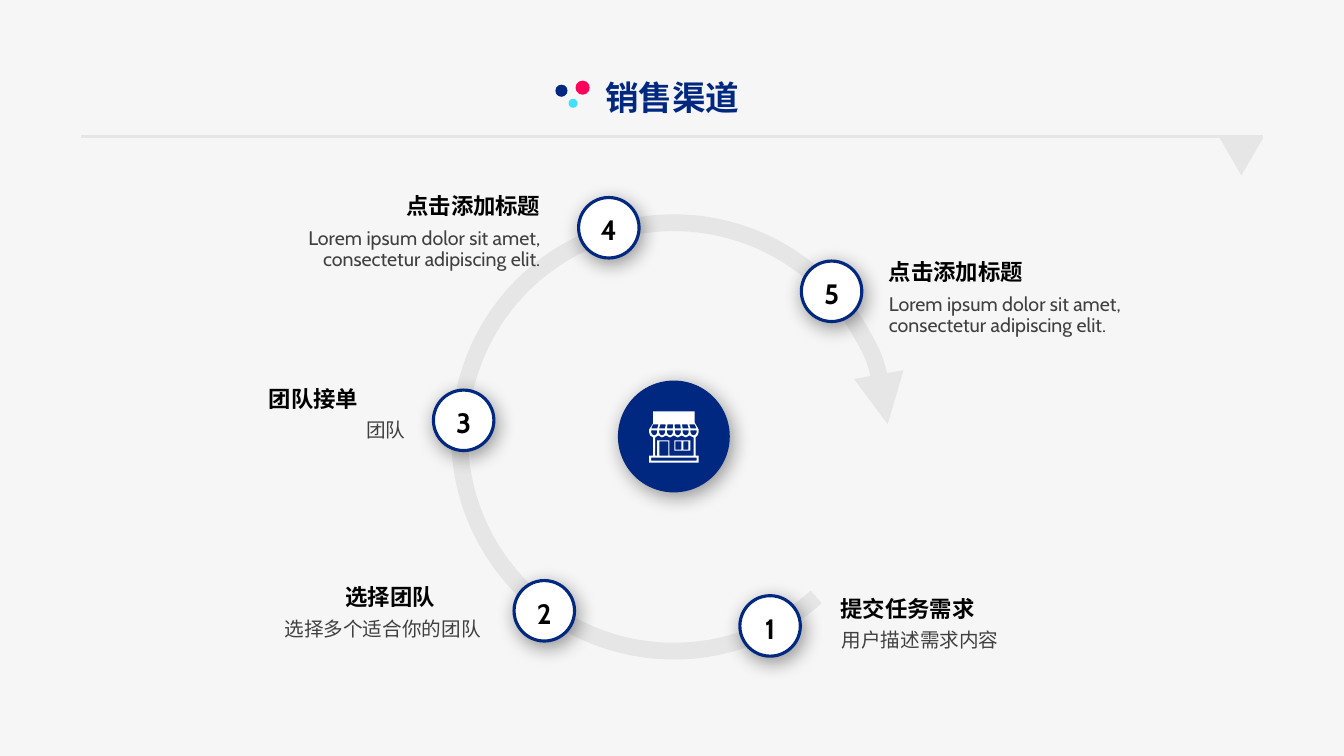
import lxml.etree
import pptx
import pptx.dml.color
import pptx.enum.shapes
import pptx.enum.text
import pptx.oxml.ns
import pptx.util

RGBColor = pptx.dml.color.RGBColor
SHAPE = pptx.enum.shapes.MSO_SHAPE
LEFT = pptx.enum.text.PP_ALIGN.LEFT
CENTER = pptx.enum.text.PP_ALIGN.CENTER
RIGHT = pptx.enum.text.PP_ALIGN.RIGHT

PAPER = RGBColor(0xF6, 0xF6, 0xF6)
GREY = RGBColor(0xE7, 0xE6, 0xE6)
NAVY = RGBColor(0x00, 0x28, 0x80)
CYAN = RGBColor(0x42, 0xDF, 0xFF)
PINK = RGBColor(0xFF, 0x00, 0x5C)
WHITE = RGBColor(0xFF, 0xFF, 0xFF)
BLACK = RGBColor(0x00, 0x00, 0x00)
BODY = RGBColor(0x40, 0x40, 0x40)

CELL = pptx.util.Inches(0.1)
COLUMNS, ROWS = 133.33, 75
LOREM = "Lorem ipsum dolor sit amet, consectetur adipiscing elit."

STEPS = [
    ("3", (46, 41.7), "团队接单", (25.7, 37.7, 10.9, 3.7), LEFT,
     "团队", (13, 41.2, 28.2, 3.1), RIGHT),
    ("1", (76.4, 62.1), "提交任务需求", (82.4, 58.6, 15.3, 3.7), LEFT,
     "用户描述需求内容", (82.5, 62.1, 28.3, 3.1), LEFT),
    ("2", (54, 60.6), "选择团队", (33.3, 57.4, 10.9, 3.7), LEFT,
     "选择多个适合你的团队", (20.4, 61, 28.3, 3.1), RIGHT),
    ("4", (60.4, 22.6), "点击添加标题", (39.1, 18.6, 15.5, 3.7), RIGHT,
     LOREM, (25.7, 22.2, 28.9, 5.3), RIGHT),
    ("5", (82.5, 28.9), "点击添加标题", (87.2, 25.1, 15.5, 3.7), LEFT,
     LOREM, (87.2, 28.7, 28.6, 5.3), LEFT),
]
DOTS = [((56.85, 10.25), 0.9, CYAN), ((55.7, 9), 1.2, NAVY), ((57.8, 8.7), 1.4, PINK)]


def cells(*lengths):
    return [round(length * CELL) for length in lengths]


def write(frame, text, size, color=BLACK, bold=False, align=LEFT, spacing=None, font="Cabin"):
    para = frame.paragraphs[0]
    para.alignment = align
    if spacing:
        para.line_spacing = spacing
    span = para.add_run()
    span.text = text
    span.font.size = pptx.util.Pt(size)
    span.font.name = font
    span.font.bold = bold
    span.font.color.rgb = color


def rectangle(left, top, right, bottom):
    return [(left, top), (right, top), (right, bottom), (left, bottom)]


def shop_contours(middle=66.85):
    outline = [(64.8, 40.8), (68.9, 40.8), (68.9, 41.9), (69.3, 42.6), (69.3, 42.9),
               (69.2, 43.2), (69, 43.4), (69, 45.2), (69.3, 45.2), (69.3, 45.9),
               (64.4, 45.9), (64.4, 45.2), (64.8, 45.2), (64.8, 43.4), (64.5, 43.2),
               (64.4, 42.9), (64.4, 42.6), (64.8, 42)]
    scallops = [64.6 + 0.78 * index for index in range(6)]
    wall = [(66.4, 45.2), (66.4, 43.7), (65.2, 43.7), (65.2, 45.2), (65, 45.2), (65, 43.4)]
    contours = [outline]
    for left in scallops:
        right = left + 0.6
        upper = [middle + (x - middle) * 0.92 for x in (left, right)]
        contours.append([(upper[0], 42.1), (upper[1], 42.1), (right, 42.5), (left, 42.5)])
        contours.append([(left, 42.7), (right, 42.7), (right, 42.9), (left + 0.5, 43.1),
                         (left + 0.3, 43.2), (left + 0.1, 43.1), (left, 42.9)])
        if left > scallops[0]:
            wall += [(left - 0.09, 43.2), (left + 0.3, 43.4)]
    contours.append(wall + [(68.8, 43.4), (68.8, 45.2)])
    contours += [rectangle(*sides) for sides in (
        (64.6, 45.4, 69.1, 45.7), (65.4, 43.8, 66.3, 45.2), (66.9, 43.7, 68.5, 44.7),
        (67, 43.8, 67.6, 44.6), (67.8, 43.8, 68.3, 44.6))]
    return contours


class ChannelSlide:
    """Draws styled elements on one slide, measured in grid columns and rows."""

    def __init__(self, deck):
        self.page = deck.slides.add_slide(deck.slide_layouts[6])
        self.page.background.fill.solid()
        self.page.background.fill.fore_color.rgb = PAPER

    def add_element(self, parent, tag, **attributes):
        return lxml.etree.SubElement(parent, pptx.oxml.ns.qn(tag), attributes)

    def style(self, shape, fill=None, line=None, weight=2.25, raised=False):
        if fill is None:
            shape.fill.background()
        else:
            shape.fill.solid()
            shape.fill.fore_color.rgb = fill
        if line is None:
            shape.line.fill.background()
        else:
            shape.line.color.rgb = line
            shape.line.width = pptx.util.Pt(weight)
        shape.shadow.inherit = False
        if raised:
            effects = shape._element.spPr.find(pptx.oxml.ns.qn("a:effectLst"))
            shadow = self.add_element(
                effects, "a:outerShdw", blurRad=str(pptx.util.Pt(14)),
                dist=str(pptx.util.Pt(4)), dir="3600000", algn="ctr", rotWithShape="0")
            tint = self.add_element(shadow, "a:srgbClr", val=str(BLACK))
            self.add_element(tint, "a:alpha", val="40000")
        return shape

    def preset(self, kind, area, **look):
        return self.style(self.page.shapes.add_shape(kind, *cells(*area)), **look)

    def circle(self, center, size, **look):
        column, row = center
        return self.preset(SHAPE.OVAL, (column - size / 2, row - size / 2, size, size), **look)

    def rule(self, start, end):
        straight = pptx.enum.shapes.MSO_CONNECTOR.STRAIGHT
        line = self.page.shapes.add_connector(straight, *cells(*start, *end))
        line.line.color.rgb = GREY
        line.line.width = pptx.util.Pt(2.25)
        self.add_element(line._element.spPr, "a:effectLst")

    def arc_arrow(self, area, start, end):
        arc = self.preset(SHAPE.ARC, area, line=GREY, weight=12)
        arc.adjustments[0], arc.adjustments[1] = start, end
        outline = arc._element.spPr.find(pptx.oxml.ns.qn("a:ln"))
        self.add_element(outline, "a:tailEnd", type="triangle")

    def outline(self, contours, fill):
        points = [[(round(x * 100), round(y * 100)) for x, y in contour] for contour in contours]
        builder = self.page.shapes.build_freeform(*points[0][0], scale=CELL / 100)
        builder.add_line_segments(points[0][1:], close=True)
        for contour in points[1:]:
            builder.move_to(*contour[0])
            builder.add_line_segments(contour[1:], close=True)
        self.style(builder.convert_to_shape(), fill=fill)

    def text(self, area, words, wrap=True, **form):
        box = self.page.shapes.add_textbox(*cells(*area))
        box.text_frame.word_wrap = wrap
        box.text_frame.auto_size = pptx.enum.text.MSO_AUTO_SIZE.SHAPE_TO_FIT_TEXT
        write(box.text_frame, words, **form)

    def step(self, number, center, title, title_area, title_align, body, body_area, body_align):
        self.text(body_area, body, size=14, color=BODY, align=body_align, spacing=0.9)
        self.text(title_area, title, wrap=False, size=16, bold=True, align=title_align)
        badge = self.circle(center, 6, fill=WHITE, line=NAVY, raised=True)
        frame = badge.text_frame
        frame.margin_left = frame.margin_right = frame.margin_bottom = 0
        frame.margin_top = pptx.util.Inches(0.04)
        frame.vertical_anchor = pptx.enum.text.MSO_ANCHOR.MIDDLE
        write(frame, number, size=20, bold=True, align=CENTER)


def main():
    deck = pptx.Presentation()
    deck.slide_width, deck.slide_height = cells(COLUMNS, ROWS)
    slide = ChannelSlide(deck)
    slide.rule((8, 13.5), (125.3, 13.5))
    slide.arc_arrow((45.6, 22.1, 42.5, 42.5), 29.01, 213.95)
    slide.circle((66.85, 43.3), 11.1, fill=NAVY, raised=True)
    slide.outline(shop_contours(), WHITE)
    for step in STEPS:
        slide.step(*step)
    slide.text((52.4, 6.3, 28.6, 5.4), "销售渠道", size=24, color=NAVY, bold=True,
               align=CENTER, spacing=1.2)
    for center, size, color in DOTS:
        slide.circle(center, size, fill=color)
    marker = slide.preset(SHAPE.ISOSCELES_TRIANGLE, (121, 13.7, 4.3, 3.7), fill=GREY)
    marker.rotation = 180
    deck.save("out.pptx")


if __name__ == "__main__":
    main()
